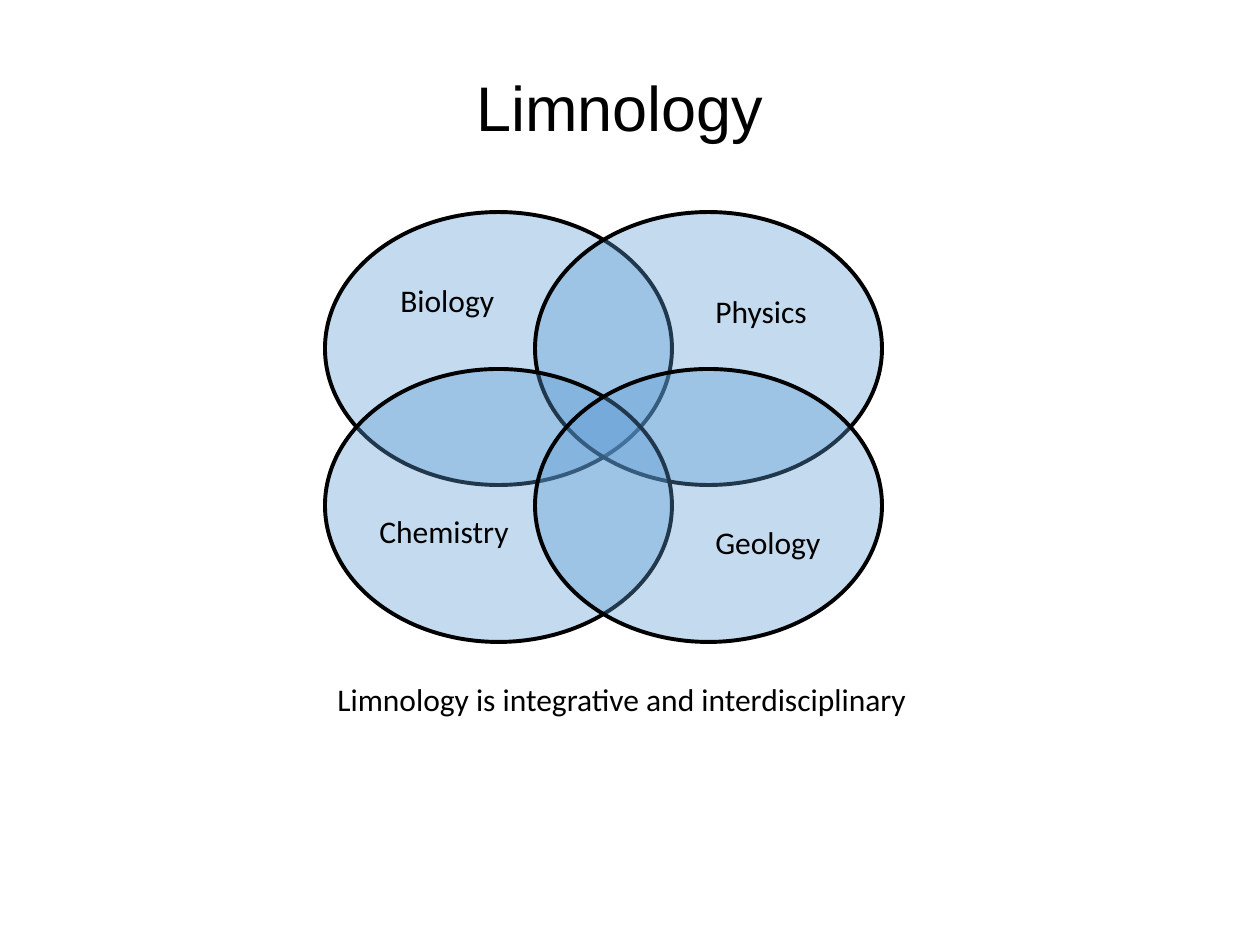
from itertools import product

from lxml import etree
from pptx import Presentation
from pptx import util as u
from pptx.dml.color import RGBColor
from pptx.enum import shapes, text
from pptx.oxml.ns import qn

EMU_PER_PX = 914400 // 126
BLACK = "000000"
BLUE = "5B9BD5"
LABELS = [
    ("Biology", (388, 275, 129, 50)),
    ("Chemistry", (367, 506, 168, 50)),
    ("Physics", (703, 286, 134, 50)),
    ("Geology", (703, 517, 142, 50)),
    ("Limnology is integrative and interdisciplinary", (325, 674, 601, 50)),
]


def px(*lengths):
    """Turn pixel lengths into EMU."""
    return [u.Emu(length * EMU_PER_PX) for length in lengths]


def colour(value):
    """Return the colour of a hex string."""
    return RGBColor.from_string(value)


def write(box, words, font, size):
    """Write one run of black text into a box."""
    para = box.text_frame.paragraphs[0]
    span = para.add_run()
    span.text = words
    span.font.name = font
    span.font.size = u.Pt(size)
    span.font.color.rgb = colour(BLACK)
    return para


def set_title(page, words):
    """Place and fill the title placeholder."""
    title = page.shapes.title
    title.left, title.top, title.width, title.height = px(53, 32, 1134, 158)
    title.text_frame.vertical_anchor = text.MSO_ANCHOR.MIDDLE
    para = write(title, words, "Arial", 36)
    para.alignment = text.PP_ALIGN.CENTER
    para.line_spacing = 0.9


def add_ellipse(page, left, top):
    """Add one translucent ellipse of the diagram."""
    ellipse = page.shapes.add_shape(
        shapes.MSO_SHAPE.OVAL, *px(left, top, 347, 273))
    ellipse.shadow.inherit = False
    ellipse.fill.solid()
    ellipse.fill.fore_color.rgb = colour(BLUE)
    fill = ellipse.fill._xPr.find(qn("a:solidFill"))
    etree.SubElement(fill[0], qn("a:alpha"), val="36000")
    ellipse.line.color.rgb = colour(BLACK)
    ellipse.line.width = u.Pt(2.25)


def add_label(page, words, place):
    """Add a line of text that sizes its box."""
    box = page.shapes.add_textbox(*px(*place))
    box.text_frame.word_wrap = True
    box.text_frame.auto_size = text.MSO_AUTO_SIZE.SHAPE_TO_FIT_TEXT
    write(box, words, "Calibri", 18)


def main():
    """Build the slide and save the deck."""
    deck = Presentation()
    deck.slide_width, deck.slide_height = u.Inches(10), u.Inches(7.5)
    page = deck.slides.add_slide(deck.slide_layouts[5])
    set_title(page, "Limnology")
    for top, left in product((212, 369), (325, 535)):
        add_ellipse(page, left, top)
    for words, place in LABELS:
        add_label(page, words, place)
    deck.save("out.pptx")


if __name__ == "__main__":
    main()
